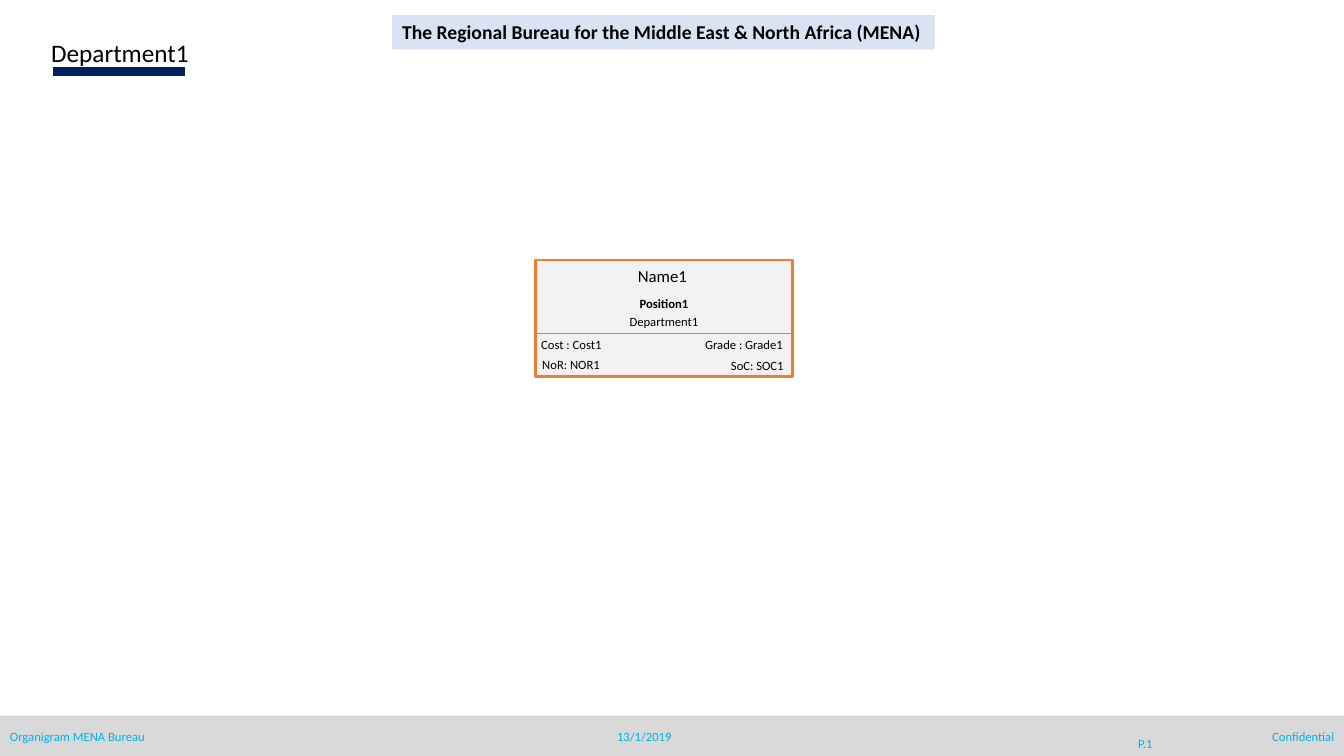
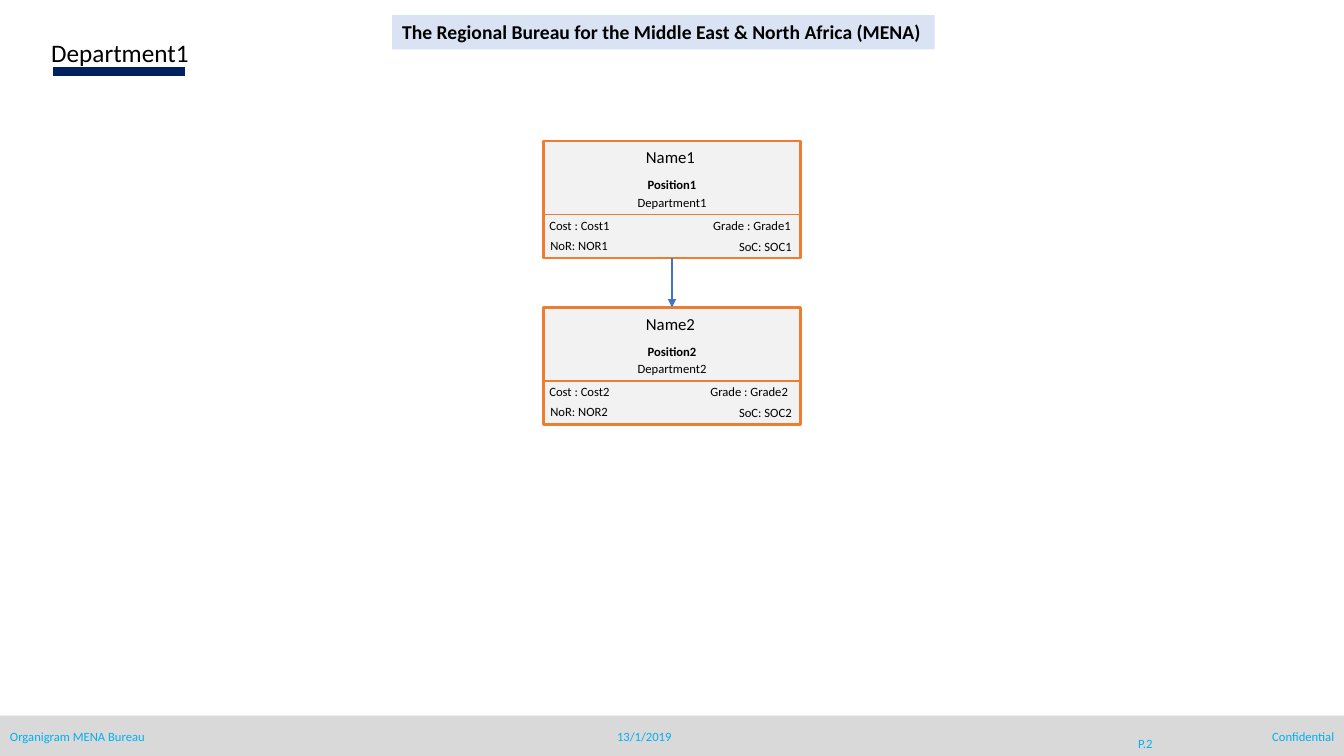
from lxml.etree import SubElement
from pptx import Presentation
from pptx.dml.color import RGBColor
from pptx.enum.shapes import MSO_CONNECTOR as CONNECTOR, MSO_SHAPE as SHAPE
from pptx.enum.text import MSO_ANCHOR as ANCHOR, PP_ALIGN as ALIGN
from pptx.oxml.ns import qn
from pptx.util import Inches, Pt

TITLE = "The Regional Bureau for the Middle East & North Africa (MENA)"
DEPARTMENT = "Department1"
FOOTER_LEFT, FOOTER_DATE, FOOTER_RIGHT = "Organigram MENA Bureau", "13/1/2019", "Confidential"

PERSON_1 = dict(name="Name1", position="Position1", department="Department1",
                cost="Cost : Cost1", grade="Grade : Grade1",
                nor="NoR: NOR1", soc="SoC: SOC1")
PERSON_2 = dict(name="Name2", position="Position2", department="Department2",
                cost="Cost : Cost2", grade="Grade : Grade2 ",
                nor="NoR: NOR2", soc="SoC: SOC2")

# Each slide: left edge of the cards, top of the first card, people from top down
SLIDES = [
    (5.31, 2.58, [PERSON_1]),
    (5.39, 1.40, [PERSON_1, PERSON_2]),
]

COLORS = dict(text="000000", rule="002060", band="D9D9D9", footer="00B0F0",
              title="DAE3F3", card="F2F2F2", border="ED7D31", arrow="4472C4")
FONT = "Calibri"
SLIDE_W, SLIDE_H = 13.33, 7.5
CARD_W, CARD_H, CARD_STEP = 2.55, 1.16, 1.65
DIVIDER_Y = 0.73

# Card field: x and y from the card's corner, width, height, size, bold, alignment
FIELDS = {
    "name": (-0.03, 0.01, 2.58, 0.31, 12, False, ALIGN.CENTER),
    "position": (0, 0.31, CARD_W, 0.25, 9, True, ALIGN.CENTER),
    "department": (0, 0.48, CARD_W, 0.25, 9, False, ALIGN.CENTER),
    "cost": (-0.04, 0.71, 1.23, 0.25, 9, False, ALIGN.LEFT),
    "grade": (1.33, 0.71, 1.22, 0.25, 9, False, ALIGN.RIGHT),
    "nor": (-0.03, 0.91, 0.9, 0.25, 9, False, ALIGN.LEFT),
    "soc": (1.54, 0.92, 1.02, 0.25, 9, False, ALIGN.RIGHT),
}


def rgb(name):
    """Return the named colour."""
    return RGBColor.from_string(COLORS[name])


def write(shape, text, size, color="text", bold=False, align=ALIGN.LEFT, anchor=ANCHOR.TOP):
    """Put one styled paragraph in a shape."""
    tf = shape.text_frame
    tf.word_wrap = True
    tf.vertical_anchor = anchor
    p = tf.paragraphs[0]
    p.text, p.alignment = text, align
    p.font.name, p.font.size, p.font.bold = FONT, Pt(size), bold
    p.font.color.rgb = rgb(color)


def add_text(s, x, y, w, h, text, size, **style):
    """Add a text box."""
    write(s.shapes.add_textbox(*map(Inches, (x, y, w, h))), text, size, **style)


def add_box(s, x, y, w, h, fill, border=None):
    """Add a filled rectangle, with a border if a colour is given."""
    sp = s.shapes.add_shape(SHAPE.RECTANGLE, *map(Inches, (x, y, w, h)))
    sp.shadow.inherit = False
    sp.fill.solid()
    sp.fill.fore_color.rgb = rgb(fill)
    if border:
        sp.line.color.rgb = rgb(border)
        sp.line.width = Pt(2)
    else:
        sp.line.fill.background()
    return sp


def add_line(s, x1, y1, x2, y2, color, width):
    """Add a straight line without a shadow."""
    line = s.shapes.add_connector(CONNECTOR.STRAIGHT, *map(Inches, (x1, y1, x2, y2)))
    line.line.color.rgb = rgb(color)
    line.line.width = Pt(width)
    SubElement(line._element.spPr, qn("a:effectLst"))
    return line


def add_arrow(s, upper, lower):
    """Join the bottom of one card to the top of the next."""
    arrow = add_line(s, 0, 0, 0, 0, "arrow", 1.5)
    arrow.begin_connect(upper, 2)
    arrow.end_connect(lower, 0)
    SubElement(arrow.line._get_or_add_ln(), qn("a:tailEnd"), type="triangle")


def add_frame(s, page):
    """Add the heading, title and footer that all slides share."""
    add_line(s, 0.53, 0.71, 1.84, 0.71, "rule", 7)
    add_text(s, 0.41, 0.32, 5.3, 0.41, DEPARTMENT, 18)
    title = add_box(s, 3.89, 0.15, 5.38, 0.34, "title")
    write(title, TITLE, 14, bold=True)
    title.text_frame.word_wrap = False

    add_box(s, 0, 7.1, SLIDE_W, 0.4, "band")
    for x, y, w, h, text, align, anchor in [
        (0, 7.18, 3.08, 0.25, FOOTER_LEFT, ALIGN.LEFT, ANCHOR.TOP),
        (5.95, 7.18, 0.88, 0.25, FOOTER_DATE, ALIGN.CENTER, ANCHOR.MIDDLE),
        (10.96, 7.18, 0.8, 0.4, f"P.{page}", ALIGN.CENTER, ANCHOR.MIDDLE),
        (10.25, 7.18, 3.08, 0.25, FOOTER_RIGHT, ALIGN.RIGHT, ANCHOR.TOP),
    ]:
        add_text(s, x, y, w, h, text, 9, color="footer", align=align, anchor=anchor)


def add_card(s, x, y, person):
    """Add one person's card and return its outline."""
    card = add_box(s, x, y, CARD_W, CARD_H, "card", "border")
    add_line(s, x, y + DIVIDER_Y, x + CARD_W, y + DIVIDER_Y, "border", 1)
    for field, (dx, dy, w, h, size, bold, align) in FIELDS.items():
        add_text(s, x + dx, y + dy, w, h, person[field], size, bold=bold, align=align)
    return card


prs = Presentation()
prs.slide_width, prs.slide_height = Inches(SLIDE_W), Inches(SLIDE_H)
for page, (left, top, people) in enumerate(SLIDES, 1):
    s = prs.slides.add_slide(prs.slide_layouts[6])
    add_frame(s, page)
    cards = [add_card(s, left, top + i * CARD_STEP, person) for i, person in enumerate(people)]
    for upper, lower in zip(cards, cards[1:]):
        add_arrow(s, upper, lower)
prs.save("out.pptx")
